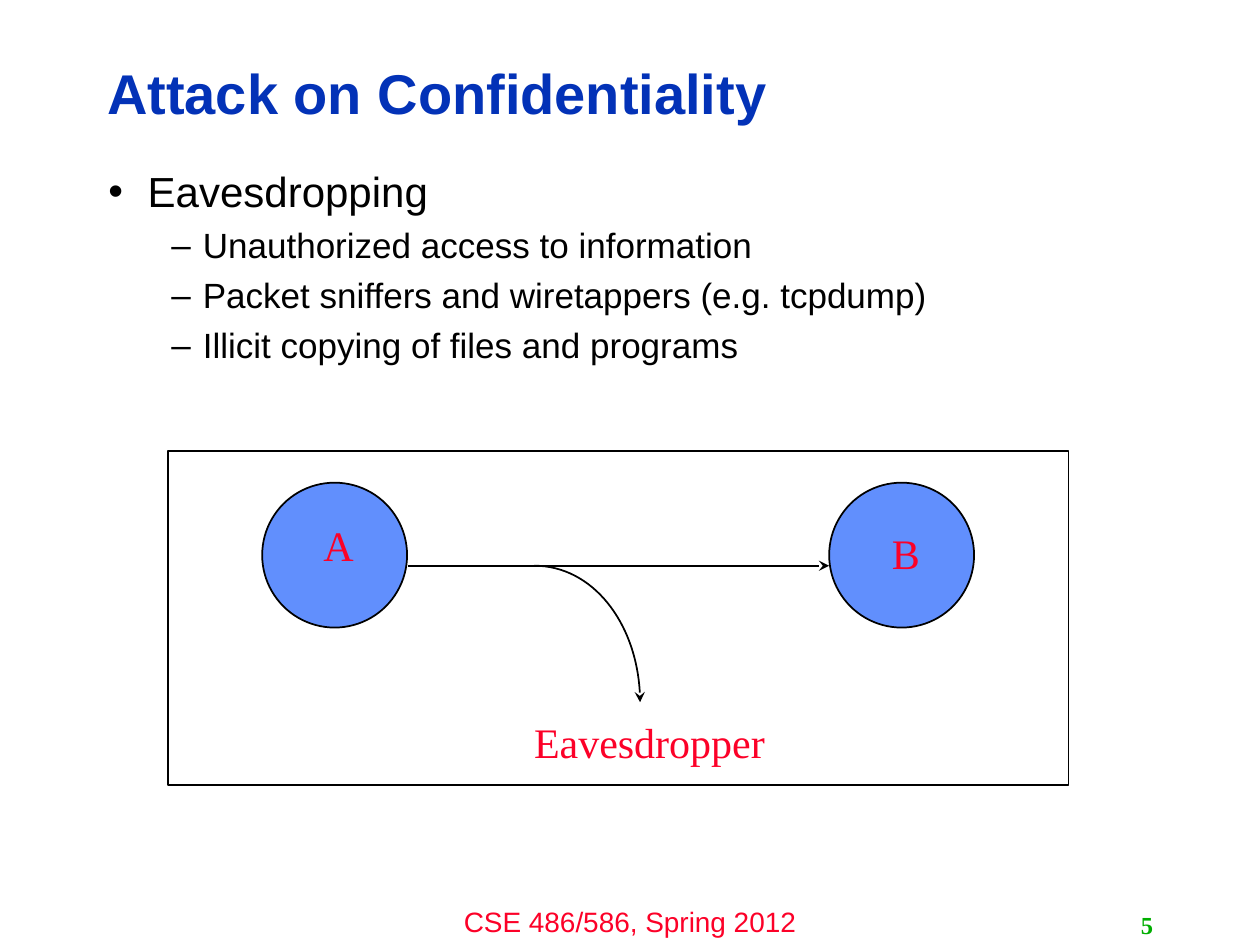
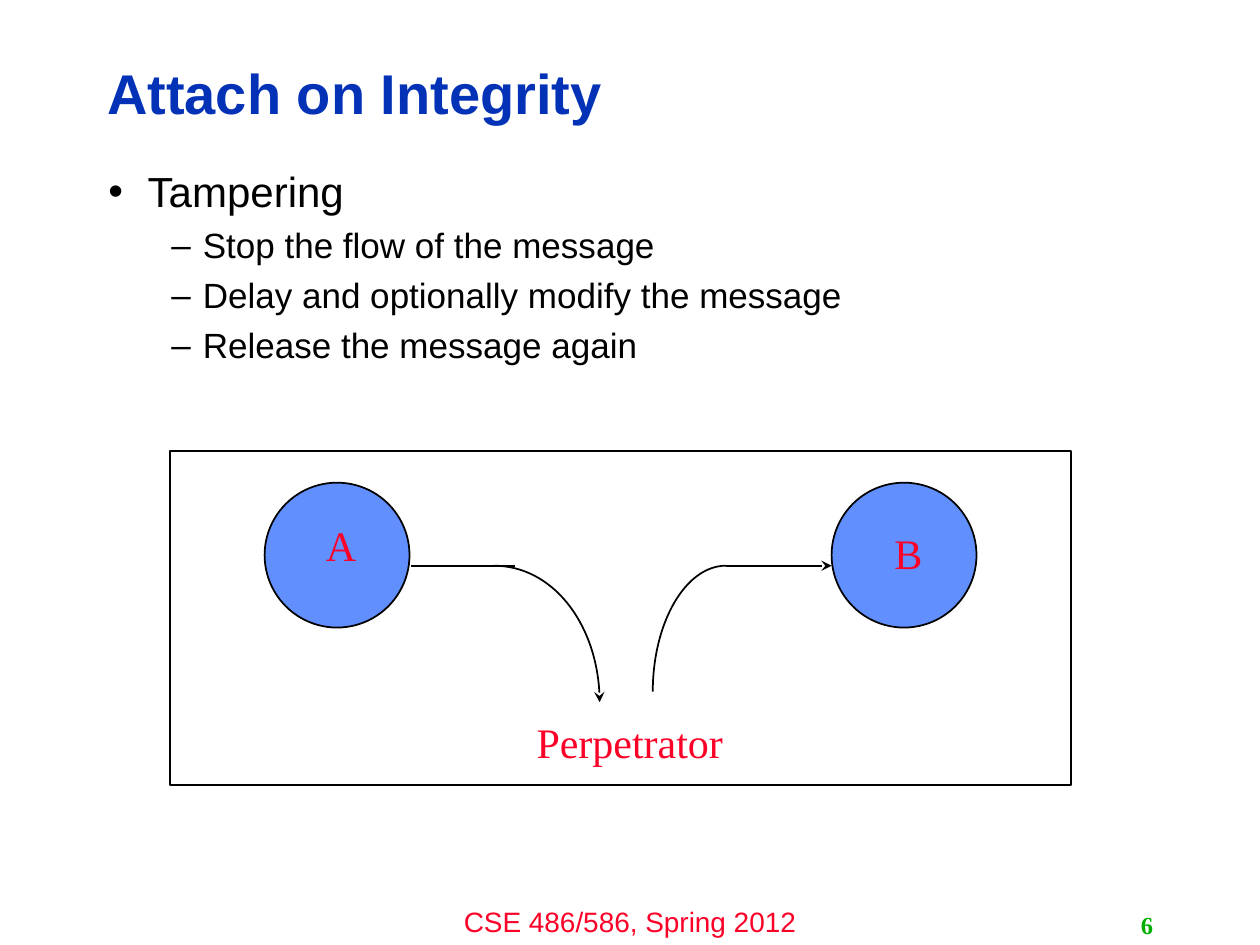
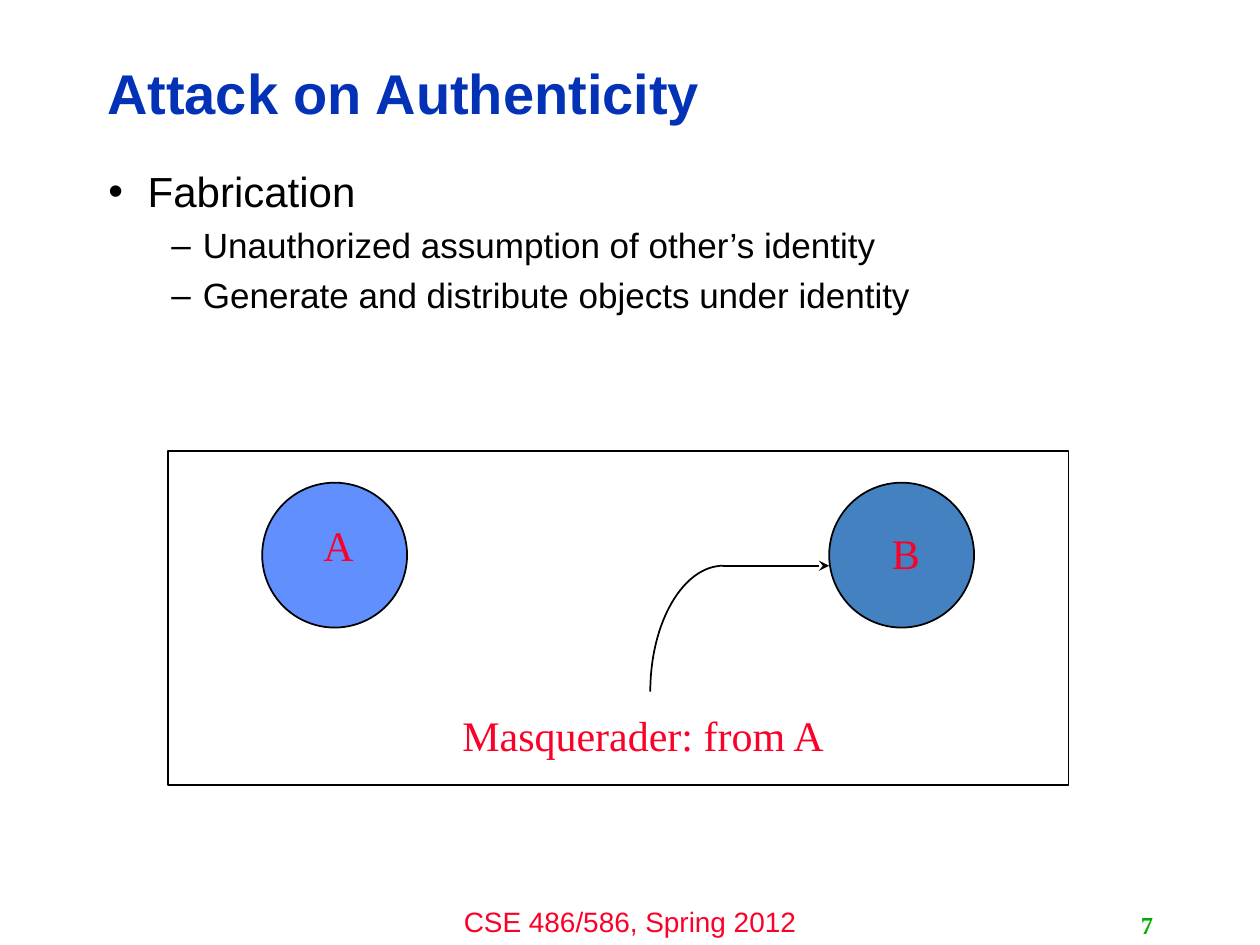
from lxml.etree import SubElement
from pptx import Presentation
from pptx.dml.color import RGBColor
from pptx.enum.shapes import MSO_CONNECTOR as CONNECTOR, MSO_SHAPE as SHAPE
from pptx.enum.text import MSO_ANCHOR as ANCHOR, MSO_AUTO_SIZE as AUTO_SIZE, PP_ALIGN as ALIGN
from pptx.oxml.ns import qn
from pptx.util import Pt

hex_color = RGBColor.from_string
RED, BLUE, GREEN, BLACK, WHITE = "FC0128", "0332B7", "00AE00", "000000", "FFFFFF"
NODE, NODE_DARK = "618FFD", "4381C0"
SANS, SERIF = "Arial", "Times New Roman"
FRAME_TOP, WIRE_Y, NODE_SIZE = 257.8, 323.3, 82.8
A_X, B_X = 54, 378

ATTACKS = [
    {
        "title": "Attack on Confidentiality",
        "points": ["Eavesdropping", "Unauthorized access to information",
                   "Packet sniffers and wiretappers (e.g. tcpdump)",
                   "Illicit copying of files and programs"],
        "frame_x": 95.8, "b_fill": NODE,
        "wires": [(137.5, 378, True)], "tap_x": 209.5, "rises": False,
        "attacker": ("Eavesdropper", 202.3, 406, 146.2),
    },
    {
        "title": "Attach on Integrity",
        "points": ["Tampering", "Stop the flow of the message",
                   "Delay and optionally modify the message",
                   "Release the message again"],
        "frame_x": 97.2, "b_fill": NODE,
        "wires": [(137.5, 197.3, False), (317.6, 378, True)], "tap_x": 185, "rises": True,
        "attacker": ("Perpetrator", 202.3, 406, 121),
    },
    {
        "title": "Attack on Authenticity",
        "points": ["Fabrication", "Unauthorized assumption of other’s identity",
                   "Generate and distribute objects under identity"],
        "frame_x": 95.8, "b_fill": NODE_DARK,
        "wires": [(317.6, 378, True)], "tap_x": None, "rises": True,
        "attacker": ("Masquerader: from A", 161.3, 401.8, 270),
    },
]


def format_text(paragraph, size, face, color, bold=False):
    for run in paragraph.runs:
        run.font.size = Pt(size)
        run.font.name = face
        run.font.bold = bold
        run.font.color.rgb = hex_color(color)


def outline(shape, arrow=False):
    shape.line.color.rgb = hex_color(BLACK)
    shape.line.width = Pt(1)
    properties = shape.element.spPr
    if arrow:
        SubElement(properties.find(qn("a:ln")), qn("a:tailEnd"), type="stealth")
    SubElement(properties, qn("a:effectLst"))


deck = Presentation()
deck.slide_width, deck.slide_height = Pt(720), Pt(540)
layout = deck.slide_layouts[1]

for number, attack in enumerate(ATTACKS, 5):
    slide = deck.slides.add_slide(layout)

    if number == 5:
        course = slide.shapes.add_textbox(Pt(240), Pt(513.4), Pt(240), Pt(26.6))
        course.text_frame.word_wrap = True
        course.text_frame.text = "CSE 486/586, Spring 2012"
        course.text_frame.paragraphs[0].alignment = ALIGN.CENTER
        format_text(course.text_frame.paragraphs[0], 16, SANS, RED)
        layout.shapes.element.insert(2, course.element)

    title = slide.shapes.title
    title.left, title.top, title.width, title.height = Pt(54), Pt(26), Pt(574.6), Pt(58.3)
    title.text_frame.text = attack["title"]
    title.text_frame.vertical_anchor = ANCHOR.MIDDLE
    heading = title.text_frame.paragraphs[0]
    heading.alignment = ALIGN.LEFT
    heading.line_spacing = 0.9
    format_text(heading, 32, SANS, BLUE, True)

    points = slide.placeholders[1]
    points.left, points.top, points.width, points.height = Pt(54.7), Pt(94.3), Pt(604.8), Pt(388)
    points.text_frame.text = "\n".join(attack["points"])
    for index, point in enumerate(points.text_frame.paragraphs):
        level, size, before, margin, hang, bullet = (
            (1, 20, 6.9, 54, 18, "–") if index else (0, 24, 8.3, 22.5, 22.5, "•"))
        point.level = level
        point.line_spacing = 0.9
        point.space_before = Pt(before)
        indents = point._p.get_or_add_pPr()
        indents.set("marL", str(Pt(margin)))
        indents.set("indent", str(-Pt(hang)))
        SubElement(indents, qn("a:buChar"), char=bullet)
        format_text(point, size, SANS, BLACK)

    page = slide.shapes.add_textbox(Pt(516.2), Pt(517), Pt(149.8), Pt(23))
    page.text_frame.word_wrap = True
    page.text_frame.vertical_anchor = ANCHOR.MIDDLE
    page.text_frame.text = str(number)
    page.text_frame.paragraphs[0].alignment = ALIGN.RIGHT
    format_text(page.text_frame.paragraphs[0], 14, SERIF, GREEN, True)

    diagram = slide.shapes.add_group_shape().shapes
    frame_x = attack["frame_x"]
    for kind, x, y, width, height, fill in [
        (SHAPE.RECTANGLE, 0, FRAME_TOP, 514.8, 190.8, WHITE),
        (SHAPE.OVAL, A_X, FRAME_TOP + 18, NODE_SIZE, NODE_SIZE, NODE),
        (SHAPE.OVAL, B_X, FRAME_TOP + 18, NODE_SIZE, NODE_SIZE, attack["b_fill"]),
    ]:
        node = diagram.add_shape(kind, Pt(frame_x + x), Pt(y), Pt(width), Pt(height))
        node.fill.solid()
        node.fill.fore_color.rgb = hex_color(fill)
        outline(node)

    for start, end, arrow in attack["wires"]:
        wire = diagram.add_connector(CONNECTOR.STRAIGHT, Pt(frame_x + start), Pt(WIRE_Y),
                                     Pt(frame_x + end), Pt(WIRE_Y))
        outline(wire, arrow)

    bends = []
    if attack["tap_x"] is not None:
        bends.append((attack["tap_x"], 60.5, 78, 0, 1, [(0.55, 0), (1, 0.45), (1, 1)], True))
    if attack["rises"]:
        bends.append((275.8, 41.8, 72, 1, 0, [(0, 0.45), (0.45, 0), (1, 0)], False))
    for x, width, height, start, end, controls, arrow in bends:
        left = frame_x + x
        builder = diagram.build_freeform(Pt(left), Pt(WIRE_Y + start * height))
        builder.add_line_segments([(Pt(left + width), Pt(WIRE_Y + end * height))], close=False)
        bend = builder.convert_to_shape()
        bend.fill.background()
        outline(bend, arrow)
        track = bend.element.find(".//" + qn("a:path"))
        track.remove(track.find(qn("a:lnTo")))
        curve = SubElement(track, qn("a:cubicBezTo"))
        for across, down in controls:
            SubElement(curve, qn("a:pt"), x=str(Pt(across * width)), y=str(Pt(down * height)))

    for words, x, y, width in [("A", 82, 293.5, 31.7), ("B", 406.8, 298, 30.2), attack["attacker"]]:
        label = diagram.add_textbox(Pt(frame_x + x), Pt(y), Pt(width), Pt(36))
        label.text_frame.word_wrap = False
        label.text_frame.auto_size = AUTO_SIZE.SHAPE_TO_FIT_TEXT
        label.text_frame.text = words
        format_text(label.text_frame.paragraphs[0], 24, SERIF, RED)
        if width == 270:
            label.text_frame.word_wrap = True

deck.save("out.pptx")
